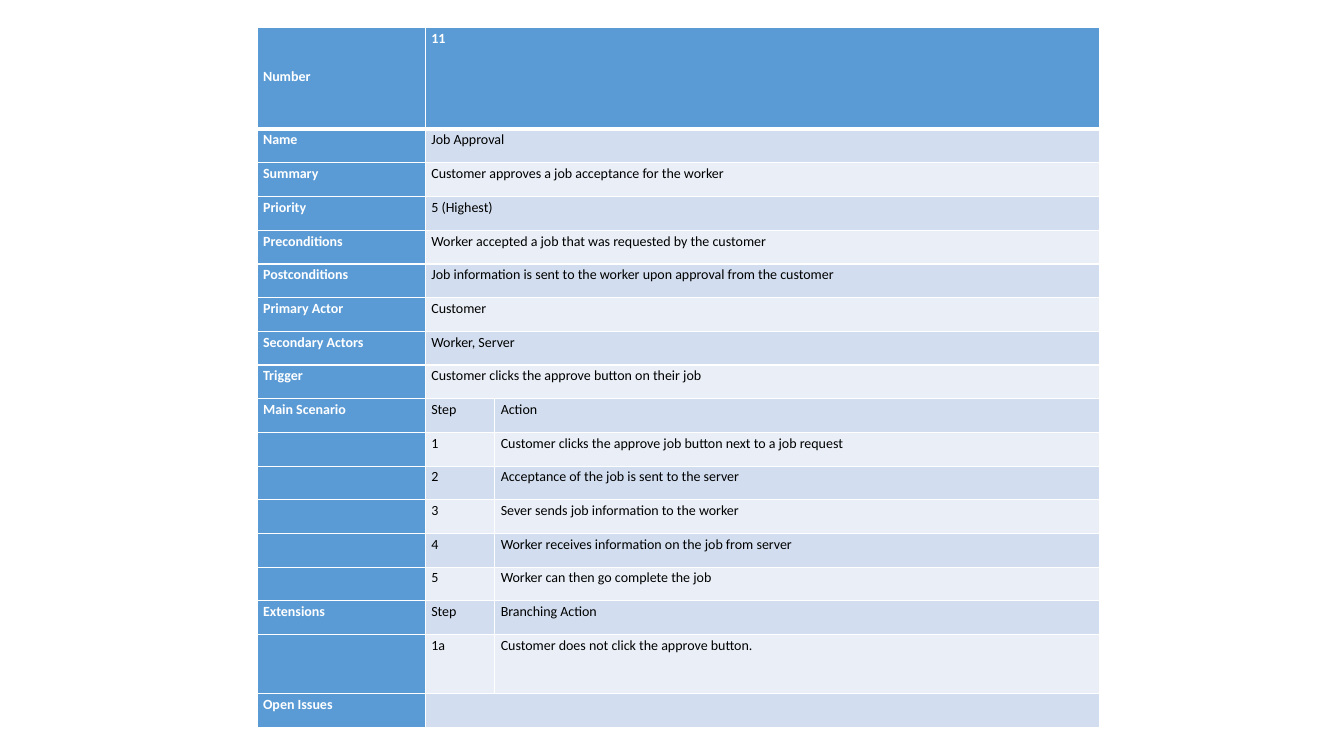
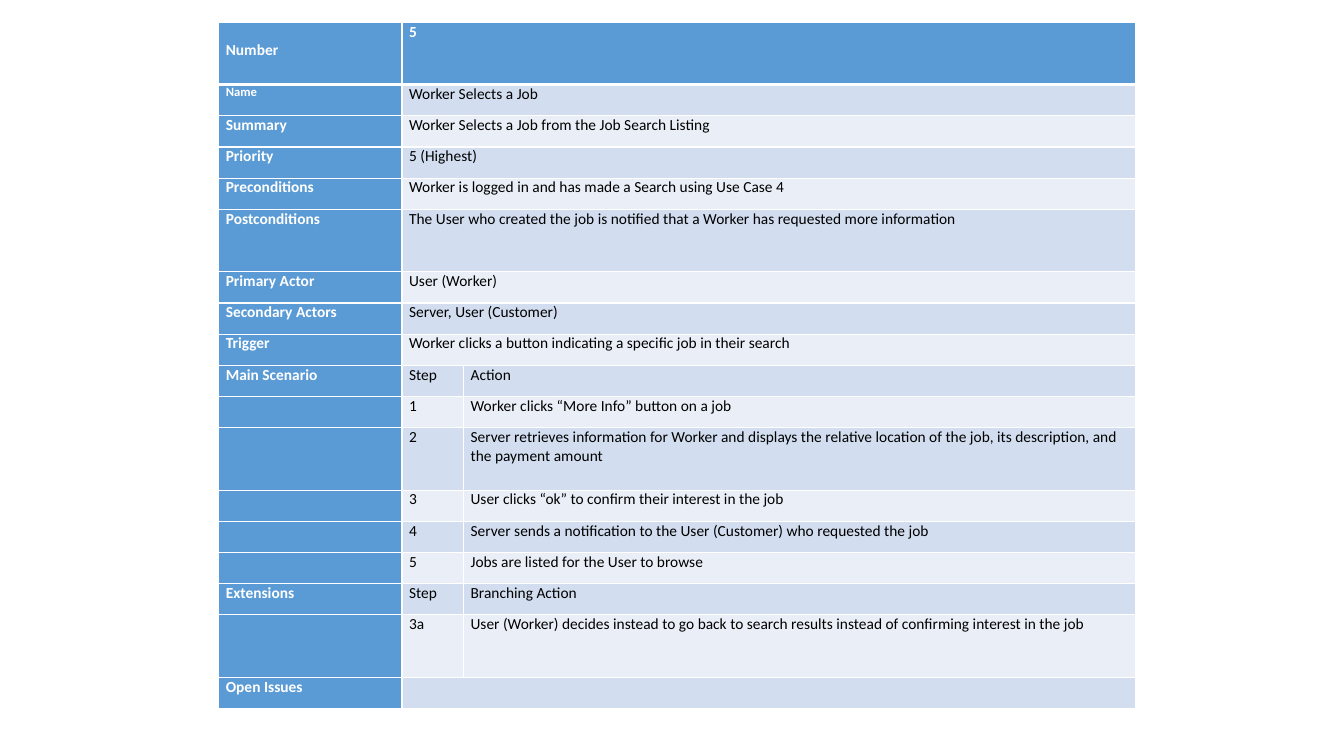
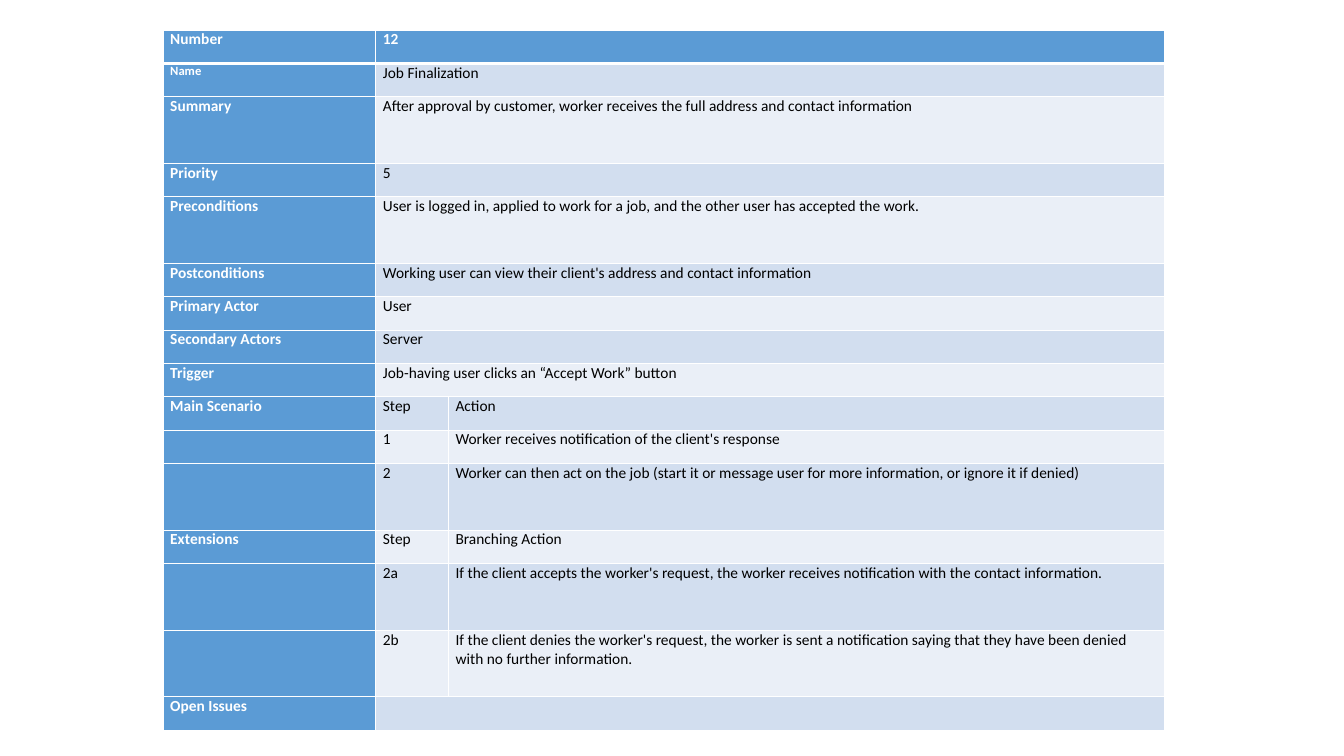
from lxml import etree
from pptx import Presentation
from pptx import util as u
from pptx.dml.color import RGBColor
from pptx.oxml.ns import qn

HUES = {"head": "5B9BD5", "odd": "D2DEEF", "even": "EAEFF7",
        "line": "FFFFFF", "label": "FFFFFF", "body": "000000"}
FONT = "Calibri"
FIELDS = ["Number", "Name", "Summary", "Priority", "Preconditions",
          "Postconditions", "Primary Actor", "Secondary Actors", "Trigger"]

# One entry per use case; lengths in cm, "tall" gives row weights other than 1
CASES = [
    dict(left=6.48, top=0.69, high=17.65, cols=[4.24, 1.75, 15.24],
         tall={0: 3.02, 16: 1.76}, size=10, name=10, pad=0.15, drop=0.97,
         lead=1.15,
         facts=["11", "Job Approval",
                "Customer approves a job acceptance for the worker",
                "5 (Highest)",
                "Worker accepted a job that was requested by the customer",
                "Job information is sent to the worker upon approval from the customer",
                "Customer", "Worker, Server",
                "Customer clicks the approve button on their job"],
         steps=[("1", "Customer clicks the approve job button next to a job request"),
                ("2", "Acceptance of the job is sent to the server"),
                ("3", "Sever sends job information to the worker"),
                ("4", "Worker receives information on the job from server"),
                ("5", "Worker can then go complete the job")],
         forks=[("1a", "Customer does not click the approve button.")]),
    dict(left=5.51, top=0.56, high=17.3, cols=[4.62, 1.55, 16.93],
         tall={0: 2, 5: 2, 11: 2, 16: 2}, size=11, name=9, pad=0.18, drop=0.47,
         lead=1.0,
         facts=["5", "Worker Selects a Job",
                "Worker Selects a Job from the Job Search Listing",
                "5 (Highest)",
                "Worker is logged in and has made a Search using Use Case 4",
                "The User who created the job is notified that a Worker has "
                "requested more information",
                "User (Worker)", "Server, User (Customer)",
                "Worker clicks a button indicating a specific job in their search"],
         steps=[("1", "Worker clicks “More Info” button on a job"),
                ("2", "Server retrieves information for Worker and displays the relative "
                      "location of the job, its description, and the payment amount"),
                ("3", "User clicks “ok” to confirm their interest in the job"),
                ("4", "Server sends a notification to the User (Customer) who requested the job"),
                ("5", "Jobs are listed for the User to browse")],
         forks=[("3a", "User (Worker) decides instead to go back to search results "
                       "instead of confirming interest in the job")]),
    dict(left=4.11, top=0.76, high=17.65, cols=[5.36, 1.83, 18.06],
         tall={2: 2, 4: 2, 11: 2, 13: 2, 14: 2}, size=11, name=9, pad=0.18, drop=0,
         lead=1.0,
         facts=["12", "Job Finalization",
                "After approval by customer, worker receives the full address "
                "and contact information",
                "5",
                "User is logged in, applied to work for a job, and the other user "
                "has accepted the work.",
                "Working user can view their client's address and contact information",
                "User", "Server",
                "Job-having user clicks an “Accept Work” button"],
         steps=[("1", "Worker receives notification of the client's response"),
                ("2", "Worker can then act on the job (start it or message user for "
                      "more information, or ignore it if denied)")],
         forks=[("2a", "If the client accepts the worker's request, the worker receives "
                       "notification with the contact information."),
                ("2b", "If the client denies the worker's request, the worker is sent a "
                       "notification saying that they have been denied with no further "
                       "information.")]),
]


class Deck:
    def __init__(self):
        self.prs = Presentation()
        self.prs.slide_width, self.prs.slide_height = u.Cm(33.87), u.Cm(19.05)
        self.slide = None

    def page(self):
        self.slide = self.prs.slides.add_slide(self.prs.slide_layouts[6])

    def edge(self, cell, row):
        """White cell borders, heavier below the first row."""
        heavy = {0: "lnB", 1: "lnT"}.get(row)
        props = cell._tc.get_or_add_tcPr()
        for side in ("lnL", "lnR", "lnT", "lnB"):
            line = etree.SubElement(props, qn("a:" + side),
                                    w=str(u.Pt(3 if side == heavy else 1)))
            fill = etree.SubElement(line, qn("a:solidFill"))
            etree.SubElement(fill, qn("a:srgbClr"), val=HUES["line"])

    def cell(self, cell, row, fill, words, size, label, case):
        self.edge(cell, row)
        cell.fill.solid()
        cell.fill.fore_color.rgb = RGBColor.from_string(HUES[fill])
        cell.margin_left = cell.margin_right = u.Cm(case["pad"])
        cell.margin_top = cell.margin_bottom = 0
        if words:
            para = cell.text_frame.paragraphs[0]
            para.line_spacing = case["lead"]
            run = para.add_run()
            run.text = words
            font = run.font
            font.name, font.size, font.bold = FONT, u.Pt(size), label
            font.color.rgb = RGBColor.from_string(HUES["label" if label else "body"])

    def table(self, case):
        # A row of two entries spans the last two columns
        rows = list(zip(FIELDS, case["facts"]))
        rows.append(("Main Scenario", "Step", "Action"))
        rows += [("", *step) for step in case["steps"]]
        rows.append(("Extensions", "Step", "Branching Action"))
        rows += [("", *fork) for fork in case["forks"]]
        rows.append(("Open Issues", ""))

        sizes = [case["tall"].get(i, 1) for i in range(len(rows))]
        unit = case["high"] / sum(sizes)
        grid = self.slide.shapes.add_table(
            len(rows), 3, u.Cm(case["left"]), u.Cm(case["top"]),
            u.Cm(sum(case["cols"])), u.Cm(case["high"])).table
        grid.first_row = grid.horz_banding = False
        for col, wide in zip(grid.columns, case["cols"]):
            col.width = u.Cm(wide)

        for i, row in enumerate(rows):
            grid.rows[i].height = u.Cm(unit * sizes[i])
            if len(row) == 2:
                grid.cell(i, 1).merge(grid.cell(i, 2))
                row = (*row, "")
            band = "odd" if i % 2 else "even"
            for j, words in enumerate(row):
                label = i == 0 or j == 0
                size = case["name" if (i, j) == (1, 0) else "size"]
                self.cell(grid.cell(i, j), i, "head" if label else band,
                          words, size, label, case)
        grid.cell(0, 0).margin_top = u.Cm(case["drop"])


def main():
    deck = Deck()
    for case in CASES:
        deck.page()
        deck.table(case)
    deck.prs.save("out.pptx")


if __name__ == "__main__":
    main()
